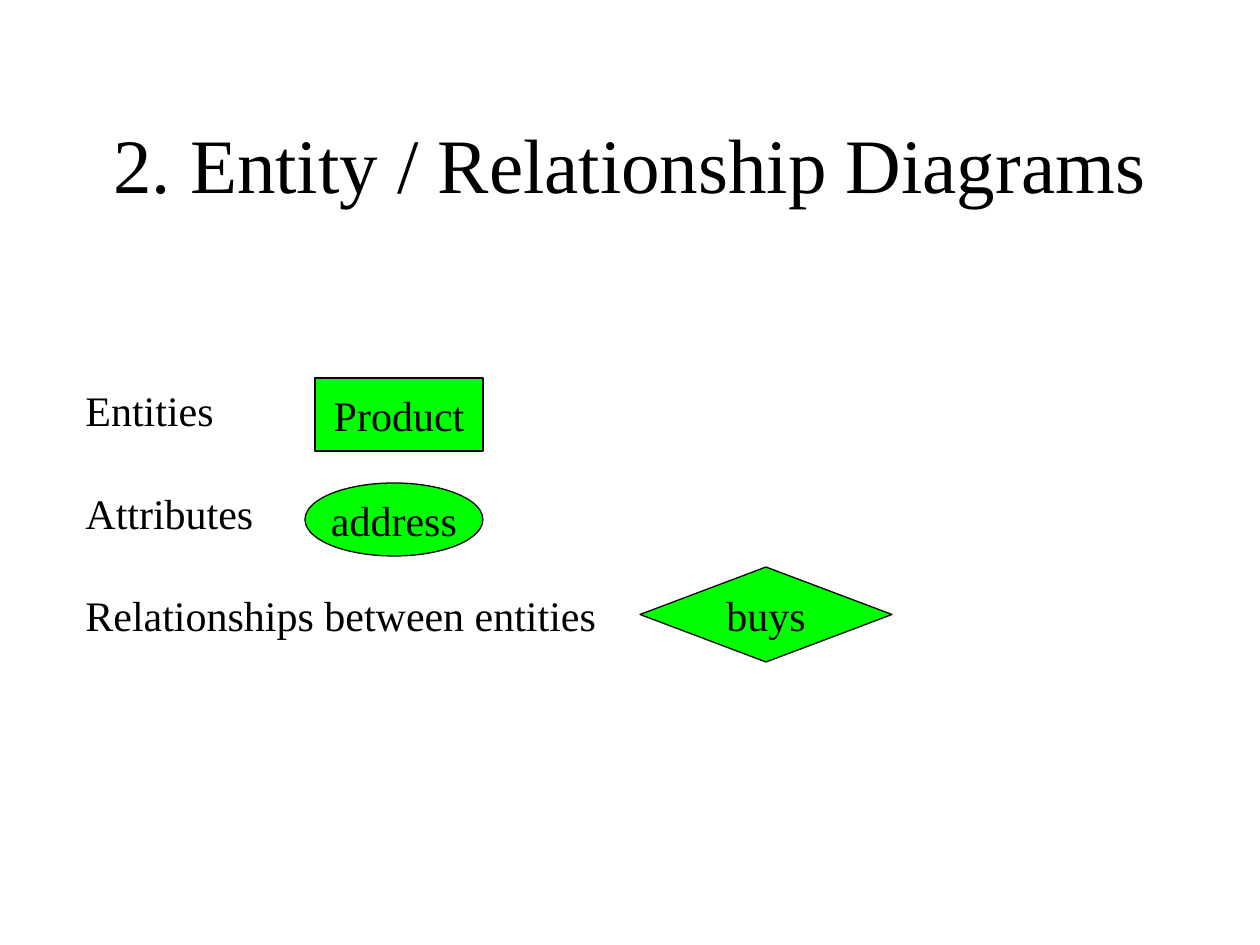
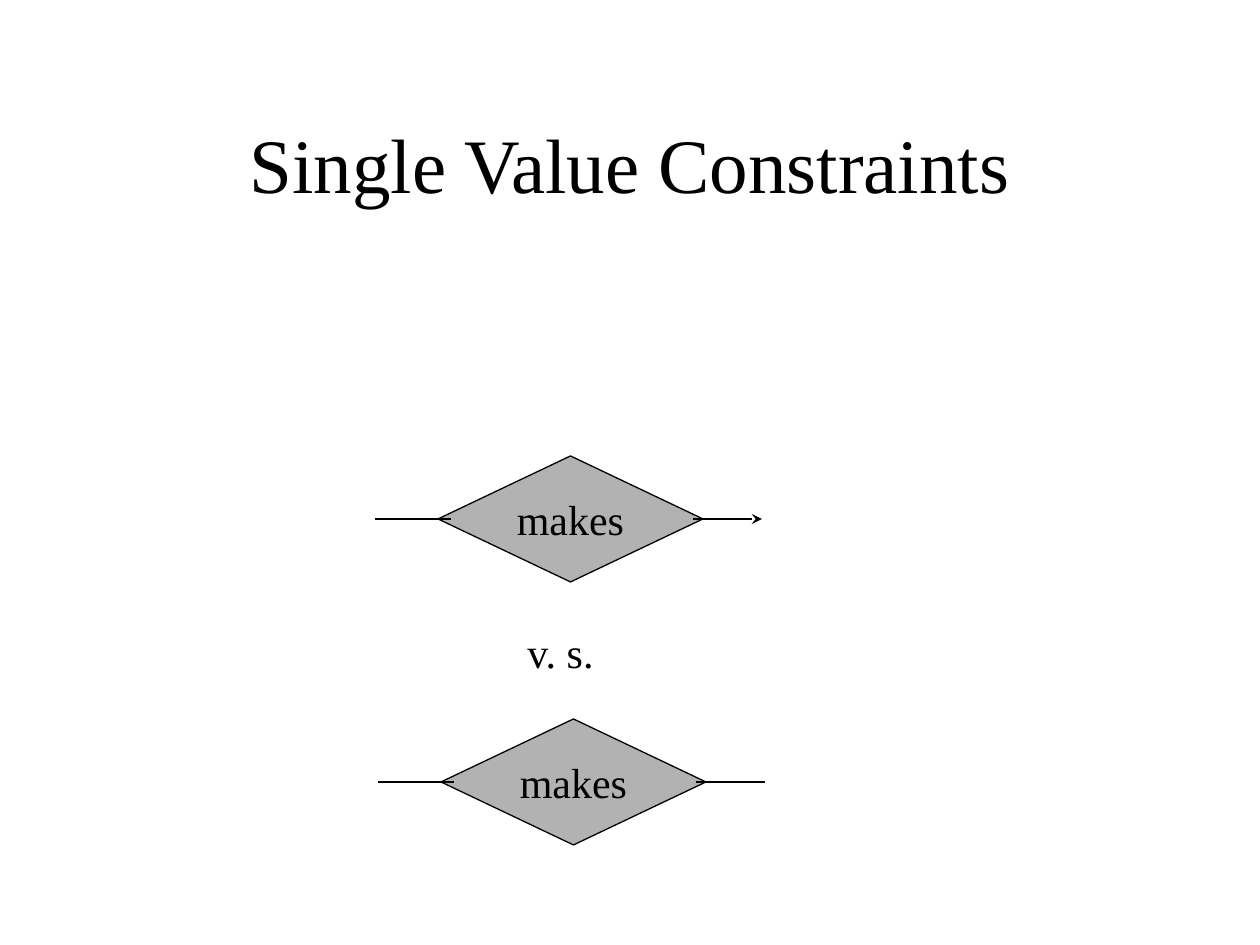
from lxml import etree
from pptx import Presentation
from pptx import util as u
from pptx.dml.color import RGBColor
from pptx.enum import shapes, text
from pptx.oxml.ns import qn

PX = 914400 / 126
FONT = "Times New Roman"
BLACK, GREEN, GREY = "000000", "00FF00", "B2B2B2"
TITLE_AREA = (94, 84, 1072, 158)
BODY_SIZE, TITLE_SIZE = 24, 44
KIND = shapes.MSO_SHAPE

NOTATION_TITLE = "2. Entity / Relationship Diagrams"
CONCEPTS = ["Entities", "Attributes", "Relationships between entities"]
CONCEPTS_AREA = (73, 378, 536, 365)
CONCEPT_GAP = 30
SYMBOLS = [
    ("Product", KIND.RECTANGLE, (315, 378, 168, 73)),
    ("address", KIND.OVAL, (305, 483, 178, 73)),
    ("buys", KIND.DIAMOND, (640, 567, 252, 95)),
]

CONSTRAINT_TITLE = "Single Value Constraints"
RELATIONSHIPS = [("makes", 438, 456, True), ("makes", 441, 719, False)]
RELATIONSHIP_SIZE = (265, 126)
LEFT_LINE, RIGHT_LINE = (13, -63), (255, 324)
VERSUS, VERSUS_AREA = "v. s.", (515, 620, 93, 63)


def px(*lengths):
    return [u.Emu(round(length * PX)) for length in lengths]


def colour(value):
    return RGBColor.from_string(value)


def write(frame, lines, size=BODY_SIZE, align=text.PP_ALIGN.LEFT,
          anchor=text.MSO_ANCHOR.TOP, wrap=False, gap=0):
    frame.word_wrap = wrap
    frame.vertical_anchor = anchor
    for index, line in enumerate(lines):
        paragraph = frame.add_paragraph() if index else frame.paragraphs[0]
        paragraph.text = line
        paragraph.alignment = align
        paragraph.space_before = u.Pt(gap if index else 0)
        paragraph.font.name = FONT
        paragraph.font.size = u.Pt(size)
        paragraph.font.color.rgb = colour(BLACK)


def write_centred(frame, line, **style):
    write(frame, [line], align=text.PP_ALIGN.CENTER,
          anchor=text.MSO_ANCHOR.MIDDLE, **style)


def add_slide(deck, heading):
    slide = deck.slides.add_slide(deck.slide_layouts[5])
    title = slide.shapes.title
    title.left, title.top, title.width, title.height = px(*TITLE_AREA)
    title.text_frame.auto_size = text.MSO_AUTO_SIZE.NONE
    write_centred(title.text_frame, heading, size=TITLE_SIZE, wrap=True)
    return slide


def add_labels(slide, lines, area, gap=0):
    box = slide.shapes.add_textbox(*px(*area))
    write(box.text_frame, lines, gap=gap)


def add_symbol(slide, label, kind, area, fill):
    symbol = slide.shapes.add_shape(kind, *px(*area))
    symbol.shadow.inherit = False
    symbol.fill.solid()
    symbol.fill.fore_color.rgb = colour(fill)
    symbol.line.color.rgb = colour(BLACK)
    symbol.line.width = u.Pt(0.75)
    write_centred(symbol.text_frame, label)


def add_line(slide, start, end, y, arrow=False):
    line = slide.shapes.add_connector(
        shapes.MSO_CONNECTOR.STRAIGHT, *px(start, y, end, y))
    line.line.color.rgb = colour(BLACK)
    line.line.width = u.Pt(0.75)
    if arrow:
        etree.SubElement(line.line._get_or_add_ln(), qn("a:tailEnd"), type="stealth")
    etree.SubElement(line._element.spPr, qn("a:effectLst"))


def build_notation(deck):
    slide = add_slide(deck, NOTATION_TITLE)
    add_labels(slide, CONCEPTS, CONCEPTS_AREA, CONCEPT_GAP)
    for label, kind, area in SYMBOLS:
        add_symbol(slide, label, kind, area, GREEN)


def build_constraints(deck):
    slide = add_slide(deck, CONSTRAINT_TITLE)
    width, height = RELATIONSHIP_SIZE
    for label, left, top, single in RELATIONSHIPS:
        add_symbol(slide, label, KIND.DIAMOND, (left, top, width, height), GREY)
        middle = top + height // 2
        add_line(slide, left + LEFT_LINE[0], left + LEFT_LINE[1], middle)
        add_line(slide, left + RIGHT_LINE[0], left + RIGHT_LINE[1], middle, single)
    add_labels(slide, [VERSUS], VERSUS_AREA)


def main():
    """Build the two entity/relationship slides."""
    deck = Presentation()
    deck.slide_width, deck.slide_height = u.Inches(10), u.Inches(7.5)
    build_notation(deck)
    build_constraints(deck)
    deck.save("out.pptx")


if __name__ == "__main__":
    main()
